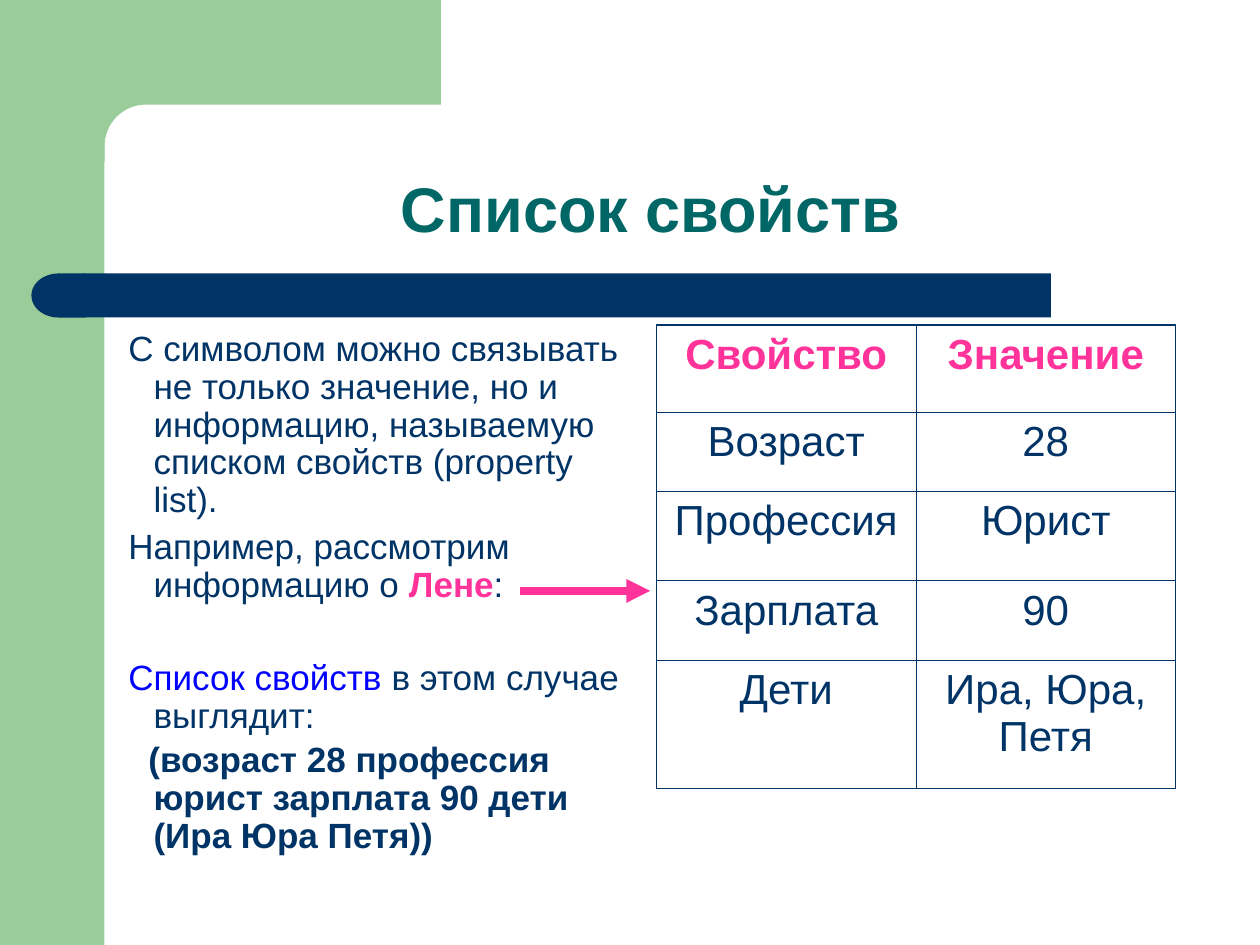
from dataclasses import dataclass
from math import cos, pi, sin

from lxml.etree import SubElement
from pptx import Presentation
from pptx.dml.color import RGBColor
from pptx.enum.shapes import MSO_CONNECTOR, MSO_SHAPE
from pptx.enum.text import MSO_ANCHOR, PP_ALIGN
from pptx.oxml import parse_xml
from pptx.oxml.ns import nsdecls, qn
from pptx.util import Inches, Pt


@dataclass(frozen=True)
class Theme:
    font: str = "Arial"
    green: str = "99CC99"
    navy: str = "003366"
    teal: str = "006666"
    pink: str = "FF3399"
    blue: str = "0000FF"
    title: int = 36
    body: int = 20
    cell: int = 24
    outer_border: float = 1.08
    inner_border: float = 0.45


theme = Theme()


def write(paragraph, text, *, size, color=theme.navy, bold=False,
          align=PP_ALIGN.LEFT, spacing=1.0):
    """Append one formatted run to a paragraph."""
    paragraph.alignment = align
    paragraph.line_spacing = spacing
    run = paragraph.add_run()
    run.text = text
    run.font.name = theme.font
    run.font.size = Pt(size)
    run.font.bold = bold
    run.font.color.rgb = RGBColor.from_string(color)


def paint(shape, color):
    """Give a shape a plain fill without line or shadow."""
    shape.shadow.inherit = False
    shape.fill.solid()
    shape.fill.fore_color.rgb = RGBColor.from_string(color)
    shape.line.fill.background()


presentation = Presentation()
presentation.slide_width = Inches(10)
presentation.slide_height = Inches(7.5)
slide = presentation.slides.add_slide(presentation.slide_layouts[6])
shapes = slide.shapes

# Green frame: side band and top block with a rounded inner corner
side_band = shapes.add_shape(MSO_SHAPE.RECTANGLE, 0, 0, Inches(0.83), Inches(7.5))
paint(side_band, theme.green)

steps = 16
angles = [pi / 2 * step / steps for step in range(steps + 1)]
inner_corner = [(1.16 - 0.33 * sin(a), 1.16 - 0.33 * cos(a)) for a in angles]
outline = [(3.5, 0.83), *inner_corner, (0.83, 1.28), (0.5, 1.28), (0.5, 0)]
builder = shapes.build_freeform(Inches(3.5), 0)
builder.add_line_segments([(Inches(x), Inches(y)) for x, y in outline])
paint(builder.convert_to_shape(), theme.green)

# Navy bar under the title, with a round left end
bar = shapes.add_shape(MSO_SHAPE.RECTANGLE, Inches(0.67), Inches(2.17),
                       Inches(7.67), Inches(0.35))
bar_end = shapes.add_shape(MSO_SHAPE.FLOWCHART_DELAY, Inches(0.25), Inches(2.17),
                           Inches(0.43), Inches(0.35))
bar_end._element.spPr.find(qn("a:xfrm")).set("flipH", "1")
for part in (bar, bar_end):
    paint(part, theme.navy)

# Title
title = shapes.add_textbox(Inches(0.91), Inches(0.91), Inches(8.51), Inches(1.09)).text_frame
title.word_wrap = True
title.vertical_anchor = MSO_ANCHOR.BOTTOM
write(title.paragraphs[0], "Список свойств", size=theme.title, color=theme.teal,
      bold=True, align=PP_ALIGN.CENTER, spacing=0.9)

# Explanation: space before, first-line indent, runs
explanation = [
    (0, -0.2, [("С символом можно связывать не только значение, но и информацию, "
                "называемую списком свойств (property list).", {})]),
    (5, -0.2, [("Например, рассмотрим информацию o ", {}),
               ("Лене", {"color": theme.pink, "bold": True}),
               (":", {})]),
    (32, -0.2, [("Список свойств", {"color": theme.blue}),
                (" в этом случае выглядит:", {})]),
    (3.5, -0.04, [("(возраст 28 профессия юрист зарплата 90 дети (Ира Юра Петя))",
                   {"bold": True})]),
]
body = shapes.add_textbox(Inches(0.92), Inches(2.58), Inches(4.12), Inches(4.47)).text_frame
body.word_wrap = True
for index, (space_before, indent, runs) in enumerate(explanation):
    paragraph = body.add_paragraph() if index else body.paragraphs[0]
    paragraph.space_before = Pt(space_before)
    properties = paragraph._p.get_or_add_pPr()
    properties.set("marL", str(Inches(0.2)))
    properties.set("indent", str(Inches(indent)))
    for text, look in runs:
        write(paragraph, text, size=theme.body, spacing=0.9, **look)

# Property table
properties_of_lena = [
    ("Свойство", "Значение"),
    ("Возраст", "28"),
    ("Профессия", "Юрист"),
    ("Зарплата", "90"),
    ("Дети", "Ира, Юра, Петя"),
]
row_heights = [0.69, 0.63, 0.71, 0.63, 1.02]
last_row = len(properties_of_lena) - 1
table = shapes.add_table(len(properties_of_lena), 2, Inches(5.21), Inches(2.58),
                         Inches(4.12), Inches(sum(row_heights))).table
table.first_row = table.horz_banding = False
for column in table.columns:
    column.width = Inches(2.06)
for row, (values, height) in enumerate(zip(properties_of_lena, row_heights)):
    table.rows[row].height = Inches(height)
    for column, value in enumerate(values):
        cell = table.cell(row, column)
        cell.fill.background()
        is_header = row == 0
        write(cell.text_frame.paragraphs[0], value, size=theme.cell, bold=is_header,
              color=theme.pink if is_header else theme.navy, align=PP_ALIGN.CENTER)
        edges = {"lnL": column == 0, "lnR": column == 1,
                 "lnT": row == 0, "lnB": row == last_row}
        for position, (edge, is_outer) in enumerate(edges.items()):
            width = Pt(theme.outer_border if is_outer else theme.inner_border)
            border = parse_xml(
                f'<a:{edge} {nsdecls("a")} w="{width}"><a:solidFill>'
                f'<a:srgbClr val="{theme.navy}"/></a:solidFill></a:{edge}>')
            cell._tc.get_or_add_tcPr().insert(position, border)

# Arrow from the name to the table
arrow = shapes.add_connector(MSO_CONNECTOR.STRAIGHT, Inches(4.13), Inches(4.69),
                             Inches(5.16), Inches(4.69))
arrow.line.color.rgb = RGBColor.from_string(theme.pink)
arrow.line.width = Pt(4.5)
SubElement(arrow.line._get_or_add_ln(), qn("a:tailEnd"), type="triangle")
SubElement(arrow._element.spPr, qn("a:effectLst"))

presentation.save("out.pptx")
